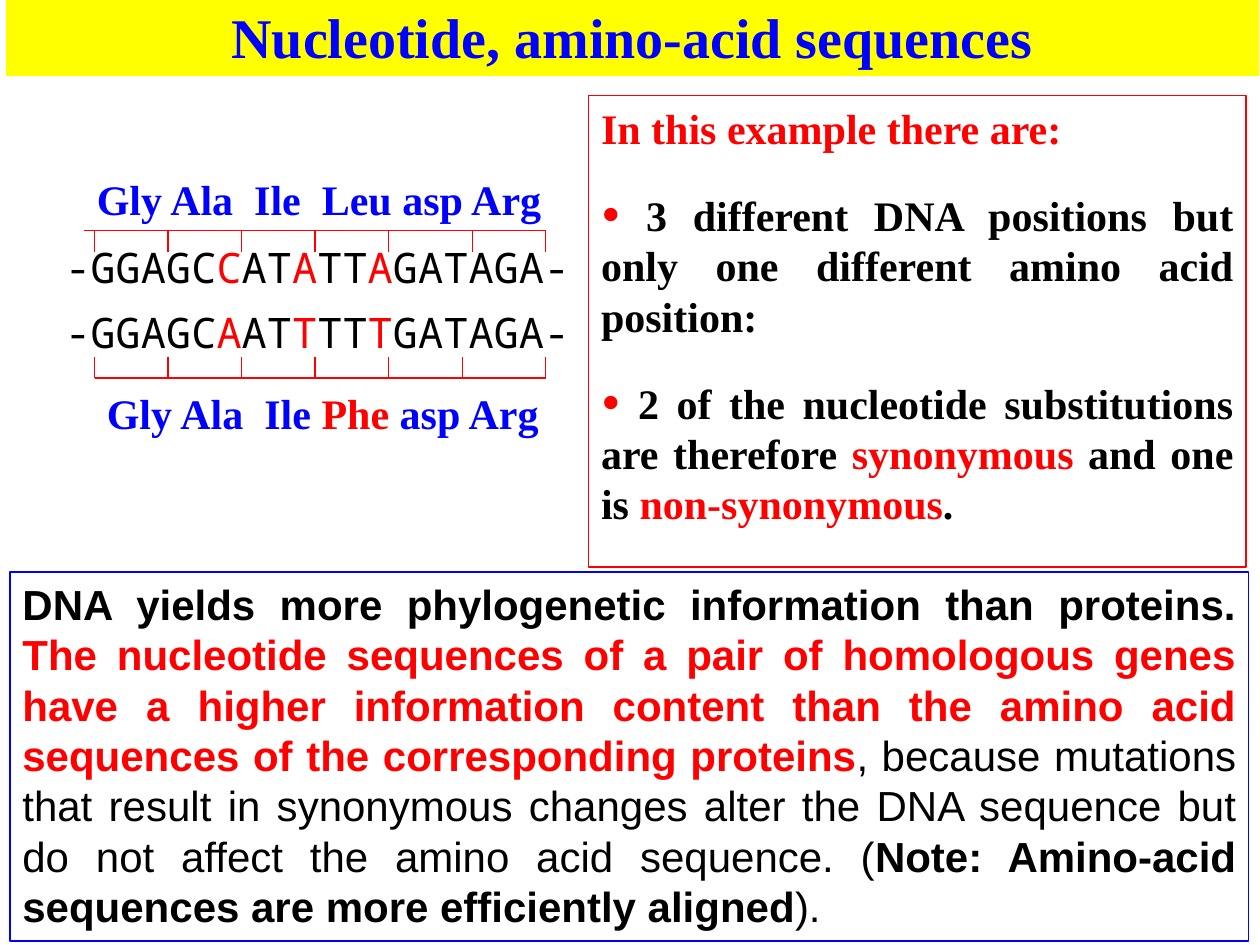
from dataclasses import dataclass

from lxml.etree import SubElement
from pptx import Presentation
from pptx.dml.color import RGBColor
from pptx.enum.shapes import MSO_CONNECTOR, MSO_SHAPE
from pptx.enum.text import MSO_ANCHOR, MSO_AUTO_SIZE, PP_ALIGN
from pptx.oxml.ns import qn
from pptx.util import Inches, Pt

BLACK = RGBColor(0x00, 0x00, 0x00)
RED = RGBColor(0xFF, 0x00, 0x00)
BLUE = RGBColor(0x00, 0x00, 0xFF)
YELLOW = RGBColor(0xFF, 0xFF, 0x00)
WHITE = RGBColor(0xFF, 0xFF, 0xFF)

SERIF = "Times New Roman"
SANS = "Arial"
MONO = "Noto Sans Mono"


@dataclass
class Run:
    text: str
    color: RGBColor = BLACK
    bold: bool = True


@dataclass
class Paragraph:
    runs: list[Run]
    bullet: bool = False


@dataclass
class Bracket:
    left: float
    rail_y: float
    tick_top: float
    ticks: list[float]


def set_bullet(paragraph, bullet: bool) -> None:
    properties = paragraph._p.get_or_add_pPr()
    properties.set("marL", "0")
    properties.set("indent", "0")
    if not bullet:
        SubElement(properties, qn("a:buNone"))
        return
    color = SubElement(properties, qn("a:buClr"))
    SubElement(color, qn("a:srgbClr"), val=str(RED))
    SubElement(properties, qn("a:buSzPct"), val="133000")
    SubElement(properties, qn("a:buFont"), typeface=SERIF)
    SubElement(properties, qn("a:buChar"), char="•")


def write(shape, paragraphs: list[Paragraph], *, font: str, size: int = 24,
          align: PP_ALIGN = PP_ALIGN.LEFT, gap: int = 0) -> None:
    frame = shape.text_frame
    frame.word_wrap = True
    frame.auto_size = MSO_AUTO_SIZE.NONE
    frame.vertical_anchor = MSO_ANCHOR.TOP
    for index, content in enumerate(paragraphs):
        paragraph = frame.add_paragraph() if index else frame.paragraphs[0]
        set_bullet(paragraph, content.bullet)
        paragraph.alignment = align
        paragraph.space_before = Pt(gap if index else 0)
        for part in content.runs:
            run = paragraph.add_run()
            run.text = part.text
            run.font.name = font
            run.font.size = Pt(size)
            run.font.bold = part.bold
            run.font.color.rgb = part.color


def place(shape, left: float, top: float, width: float, height: float) -> None:
    shape.left, shape.top = Inches(left), Inches(top)
    shape.width, shape.height = Inches(width), Inches(height)


def outline(shape, color: RGBColor) -> None:
    shape.line.color.rgb = color
    shape.line.width = Pt(0.75)


def draw_line(shapes, x1: float, y1: float, x2: float, y2: float) -> None:
    line = shapes.add_connector(MSO_CONNECTOR.STRAIGHT, Inches(x1), Inches(y1),
                                Inches(x2), Inches(y2))
    outline(line, RED)
    SubElement(line._element.spPr, qn("a:effectLst"))


def draw_bracket(shapes, bracket: Bracket) -> None:
    draw_line(shapes, bracket.left, bracket.rail_y, bracket.ticks[-1], bracket.rail_y)
    for x in bracket.ticks:
        draw_line(shapes, x, bracket.tick_top, x, bracket.tick_top + 0.17)


def add_text(shapes, left: float, top: float, width: float, height: float,
             paragraphs: list[Paragraph], **text_format) -> None:
    box = shapes.add_textbox(Inches(left), Inches(top), Inches(width), Inches(height))
    write(box, paragraphs, **text_format)


def sequence(text: str, substitutions: set[int]) -> Paragraph:
    """Colour the substituted bases, counted from the leading dash, red."""
    runs: list[Run] = []
    for index, base in enumerate(text):
        color = RED if index in substitutions else BLACK
        if runs and runs[-1].color == color:
            runs[-1].text += base
        else:
            runs.append(Run(base, color, bold=False))
    return Paragraph(runs)


def main() -> None:
    deck = Presentation()
    deck.slide_width, deck.slide_height = Inches(10), Inches(7.5)
    slide = deck.slides.add_slide(deck.slide_layouts[1])
    shapes = slide.shapes

    # Title band
    title = shapes.title
    place(title, 0.04, -0.03, 9.96, 0.64)
    title.fill.solid()
    title.fill.fore_color.rgb = YELLOW
    outline(title, WHITE)
    write(title, [Paragraph([Run("Nucleotide, amino-acid sequences", BLUE)])],
          font=SERIF, size=32, align=PP_ALIGN.CENTER)

    # Codon brackets above and below the sequences
    codons = [0.75 + 3.5 / 6 * step for step in range(5)]
    draw_bracket(shapes, Bracket(0.67, 1.83, 1.83, codons + [3.75, 4.33]))
    draw_bracket(shapes, Bracket(0.75, 3, 2.83, codons + [3.67, 4.33]))

    # Nucleotide sequences with their amino acids
    substitutions = {6, 9, 12}
    add_text(shapes, 0.42, 1.87, 4.25, 1.1,
             [sequence("-GGAGCCATATTAGATAGA-", substitutions),
              sequence("-GGAGCAATTTTTGATAGA-", substitutions)],
             font=MONO, gap=8)
    add_text(shapes, 0.67, 1.33, 4, 0.5,
             [Paragraph([Run("Gly Ala  Ile  Leu asp Arg", BLUE)])], font=SERIF)
    add_text(shapes, 0.75, 3.03, 4, 0.5,
             [Paragraph([Run("Gly Ala  Ile ", BLUE), Run("Phe", RED),
                         Run(" asp Arg", BLUE)])], font=SERIF)

    # Reading of the example
    example = slide.placeholders[1]
    place(example, 4.67, 0.76, 5.22, 3.74)
    outline(example, RED)
    write(example, [
        Paragraph([Run("In this example there are:", RED)]),
        Paragraph([Run(" 3 different DNA positions but only one different "
                       "amino acid position:")], bullet=True),
        Paragraph([Run(" 2 of the nucleotide substitutions are therefore "),
                   Run("synonymous", RED), Run(" and one is "),
                   Run("non-synonymous", RED), Run(".")], bullet=True),
    ], font=SERIF, align=PP_ALIGN.JUSTIFY, gap=21)

    # Conclusion
    conclusion = shapes.add_shape(MSO_SHAPE.RECTANGLE, Inches(0.08), Inches(4.54),
                                  Inches(9.83), Inches(2.93))
    conclusion.shadow.inherit = False
    conclusion.fill.background()
    outline(conclusion, BLUE)
    write(conclusion, [Paragraph([
        Run("DNA yields more phylogenetic information than proteins. "),
        Run("The nucleotide sequences of a pair of homologous genes have a higher "
            "information content than the amino acid sequences of the "
            "corresponding proteins", RED),
        Run(", because mutations that result in synonymous changes alter the DNA "
            "sequence but do not affect the amino acid sequence. (", bold=False),
        Run("Note: Amino-acid sequences are more efficiently aligned"),
        Run(").", bold=False),
    ])], font=SANS, align=PP_ALIGN.JUSTIFY)

    deck.save("out.pptx")


if __name__ == "__main__":
    main()
